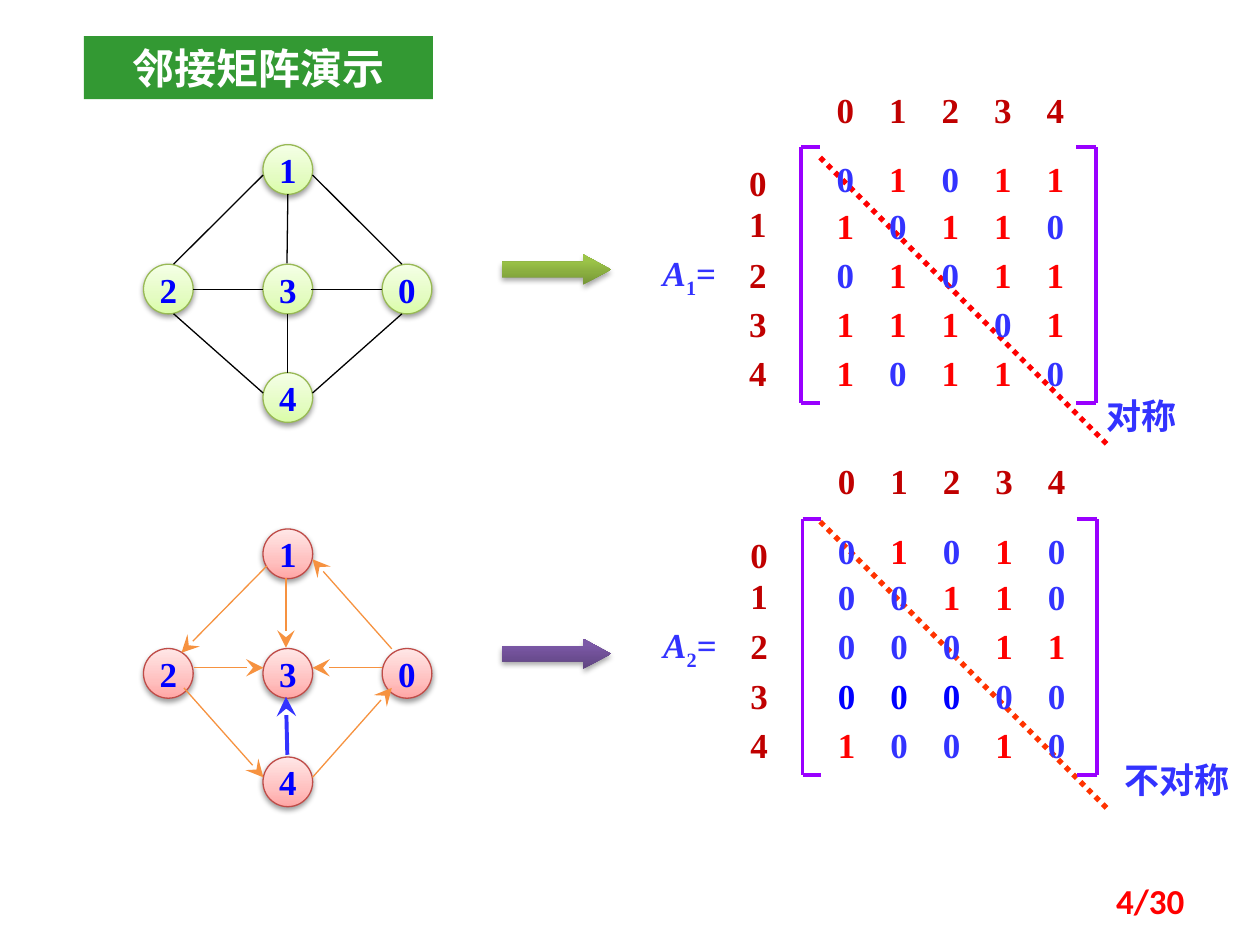
from copy import deepcopy

from lxml.etree import SubElement
from pptx import Presentation
from pptx.dml.color import RGBColor
from pptx.enum.dml import MSO_LINE
from pptx.enum.shapes import MSO_CONNECTOR, MSO_SHAPE
from pptx.enum.text import MSO_ANCHOR, MSO_AUTO_SIZE, PP_ALIGN
from pptx.oxml.ns import qn
from pptx.util import Pt

COLORS = {
    "title": "339933", "white": "FFFFFF", "black": "000000", "node": "0000FF",
    "zero": "3333FF", "one": "FF0000", "deep": "0000FF", "index": "C00000",
    "bracket": "9900FF", "edge": "F69240", "page": "FF0000",
}
SERIF, CJK, SANS = "Times New Roman", "Noto Sans CJK SC", "Calibri"
NODE = 28.4
NODES = [("1", 150.3, 82.7), ("3", 150.3, 151), ("2", 82, 151),
         ("0", 218.4, 151), ("4", 150.3, 213)]
GRAPHS = [
    {"dy": 0, "fill": [(0, "DAFDA7"), (0.35, "E4FCC2"), (1, "F5FFE7")],
     "line": "98B955", "edge": "black", "directed": False,
     "edges": [(150.4, 100, 99.2, 151), (178.6, 100, 229.7, 151),
               (110.4, 165.6, 150.4, 165.6), (178, 165.3, 218.2, 165.3),
               (164.5, 111, 164, 150.5), (99.2, 179.3, 150.4, 224.6),
               (164.3, 179.3, 164.3, 213), (229.7, 179.3, 178.6, 224.6)],
     "strong": []},
    {"dy": 219.6, "fill": [(0, "FFA6A5"), (0.35, "FFC0BF"), (1, "FFE7E7")],
     "line": "BF4C48", "edge": "edge", "directed": True,
     "edges": [(152.6, 103.7, 103.7, 153.4), (163.4, 110.9, 163.4, 150.5),
               (223.9, 151.2, 178.6, 100), (110.9, 162, 150.5, 162),
               (218.2, 162, 178.6, 162), (178.6, 224.6, 223.9, 173.5),
               (105.1, 173.5, 150.5, 224.6)],
     "strong": [(164.2, 211.7, 163.4, 178.6)]},
]
ARROWS = [(145.4, [(0, "779737"), (0.8, "9BC348"), (1, "9DC746")]),
          (365, [(0, "5F4480"), (0.8, "7B58A6"), (1, "7C57A8")])]
MATRICES = [
    {"name": "1", "dx": 0, "dy": 0, "deep": (),
     "rows": ["01011", "10110", "01011", "11101", "10110"]},
    {"name": "2", "dx": 0.7, "dy": 212.4, "deep": ((3, 0), (3, 1), (3, 2)),
     "rows": ["01010", "00110", "00011", "00000", "10010"]},
]
ROW_TOPS = [90, 116.6, 144.7, 172.8, 200.9]
INDEX_TOPS = [92.2, 115.9] + ROW_TOPS[2:]
DIAGONALS = [(90, "FF0000", "对称", 618.5, 221.8, 67.7),
             (298.1, "FF3300", "不对称", 630, 429.8, 85)]


def rgb(hex_value):
    return RGBColor.from_string(hex_value)


def style(r, color, size=20, font=SERIF):
    r.font.size, r.font.bold, r.font.name = Pt(size), True, font
    r.font.color.rgb = rgb(color)
    if font == CJK:
        SubElement(r._r.get_or_add_rPr(), qn("a:ea"), typeface=font)


def write(sp, text, color, size=20, font=SERIF, align=PP_ALIGN.CENTER):
    p = sp.text_frame.paragraphs[0]
    p.text = text
    p.alignment = align
    for r in p.runs:
        style(r, color, size, font)


def text_box(s, x, y, w, h, inset=True):
    sp = s.shapes.add_textbox(Pt(x), Pt(y), Pt(w), Pt(h))
    tf = sp.text_frame
    tf.word_wrap = True
    if not inset:
        tf.margin_left = tf.margin_right = tf.margin_top = tf.margin_bottom = 0
    return sp


def shaded_shape(s, kind, x, y, w, h, stops, distance, alpha):
    sp = s.shapes.add_shape(kind, Pt(x), Pt(y), Pt(w), Pt(h))
    sp.fill.gradient()
    sp.fill.gradient_angle = 90
    gs_list = sp._element.spPr.find(".//" + qn("a:gsLst"))
    gs_list.append(deepcopy(gs_list[-1]))
    for stop, (position, color) in zip(sp.fill.gradient_stops, stops):
        stop.position = position
        stop.color.rgb = rgb(color)
    sp.shadow.inherit = False
    effects = sp._element.spPr.find(qn("a:effectLst"))
    shadow = SubElement(effects, qn("a:outerShdw"), blurRad="40000",
                        dist=str(distance), dir="5400000", rotWithShape="0")
    black = SubElement(shadow, qn("a:srgbClr"), val=COLORS["black"])
    SubElement(black, qn("a:alpha"), val=str(alpha))
    return sp


def line(s, x1, y1, x2, y2, color, width=0.75, arrow=False, dotted=False):
    c = s.shapes.add_connector(MSO_CONNECTOR.STRAIGHT, Pt(x1), Pt(y1), Pt(x2), Pt(y2))
    c.line.color.rgb = rgb(color)
    c.line.width = Pt(width)
    if dotted:
        c.line.dash_style = MSO_LINE.ROUND_DOT
    if arrow:
        SubElement(c.line._get_or_add_ln(), qn("a:tailEnd"),
                   type="stealth", w="lg", len="lg")
    SubElement(c._element.spPr, qn("a:effectLst"))


def add_graph(s, graph):
    dy = graph["dy"]
    for label, x, y in NODES:
        sp = shaded_shape(s, MSO_SHAPE.OVAL, x, y + dy, NODE, NODE, graph["fill"], 20000, 38000)
        sp.line.color.rgb = rgb(graph["line"])
        sp.line.width = Pt(0.75)
        sp.text_frame.word_wrap = False
        sp.text_frame.vertical_anchor = MSO_ANCHOR.MIDDLE
        write(sp, label, COLORS["node"])
    for x1, y1, x2, y2 in graph["edges"]:
        line(s, x1, y1 + dy, x2, y2 + dy, COLORS[graph["edge"]], arrow=graph["directed"])
    for x1, y1, x2, y2 in graph["strong"]:
        line(s, x1, y1 + dy, x2, y2 + dy, COLORS["zero"], 2.25, arrow=True)


def add_digits(s, x, y, digits, colors):
    p = text_box(s, x, y, 141.8, 24.5, inset=False).text_frame.paragraphs[0]
    tabs = SubElement(p._p.get_or_add_pPr(), qn("a:tabLst"))
    for i, (digit, color) in enumerate(zip(digits, colors)):
        if i:
            SubElement(tabs, qn("a:tab"), pos=str(Pt(30 * i)), algn="l")
        r = p.add_run()
        r.text = "\t" + digit if i else digit
        style(r, color)


def add_matrix(s, m):
    dx, dy = m["dx"], m["dy"]
    p = text_box(s, 365.8 + dx / 2, 140.4 + dy, 56.2, 31.7).text_frame.paragraphs[0]
    p.alignment = PP_ALIGN.CENTER
    for part in ("A", m["name"], "="):
        r = p.add_run()
        r.text = part
        style(r, COLORS["zero"])
        r.font.italic = part == "A"
        if part == m["name"]:
            r._r.get_or_add_rPr().set("baseline", "-25000")
    add_digits(s, 478.1 + dx, 50.4 + dy, "01234", [COLORS["index"]] * 5)
    for i, (digits, top, index_top) in enumerate(zip(m["rows"], ROW_TOPS, INDEX_TOPS)):
        colors = [COLORS["deep" if (i, j) in m["deep"] else "one" if d == "1" else "zero"]
                  for j, d in enumerate(digits)]
        add_digits(s, 478.1 + dx, top + dy, digits, colors)
        sp = text_box(s, 416.2 + dx, index_top + dy, 33.8, 24.5, inset=False)
        write(sp, str(i), COLORS["index"])
    top, bottom = 84.2 + dy, 230.4 + dy
    for x, tip in ((457.9 + dx, 468.7 + dx), (626.4 + dx, 614.9 + dx)):
        for ends in ((x, top, x, bottom), (x, top, tip, top), (x, bottom, tip, bottom)):
            line(s, *ends, COLORS["bracket"], 2.25)


def main():
    prs = Presentation()
    prs.slide_width, prs.slide_height = Pt(720), Pt(540)
    s = prs.slides.add_slide(prs.slide_layouts[5])

    title = s.shapes.title
    title.left, title.top, title.width, title.height = Pt(48), Pt(20.6), Pt(199.4), Pt(36)
    title.fill.solid()
    title.fill.fore_color.rgb = rgb(COLORS["title"])
    title.text_frame.auto_size = MSO_AUTO_SIZE.NONE
    title.text_frame.vertical_anchor = MSO_ANCHOR.MIDDLE
    write(title, "邻接矩阵演示", COLORS["white"], 24, CJK)

    for graph in GRAPHS:
        add_graph(s, graph)
    for top, stops in ARROWS:
        sp = shaded_shape(s, MSO_SHAPE.RIGHT_ARROW, 286.6, top, 62.6, 17.3, stops, 23000, 35000)
        sp.adjustments[1] = 0.92
        sp.line.fill.background()
    for top, color, label, x, y, w in DIAGONALS:
        line(s, 468.7, top, 632.9, top + 164.2, color, 3, dotted=True)
        write(text_box(s, x, y, w, 31), label, COLORS["zero"], font=CJK)
    for m in MATRICES:
        add_matrix(s, m)

    page = text_box(s, 516.2, 500.4, 167.8, 28.8)
    page.text_frame.vertical_anchor = MSO_ANCHOR.MIDDLE
    write(page, "4/30", COLORS["page"], font=SANS, align=PP_ALIGN.RIGHT)
    prs.save("out.pptx")


if __name__ == "__main__":
    main()
